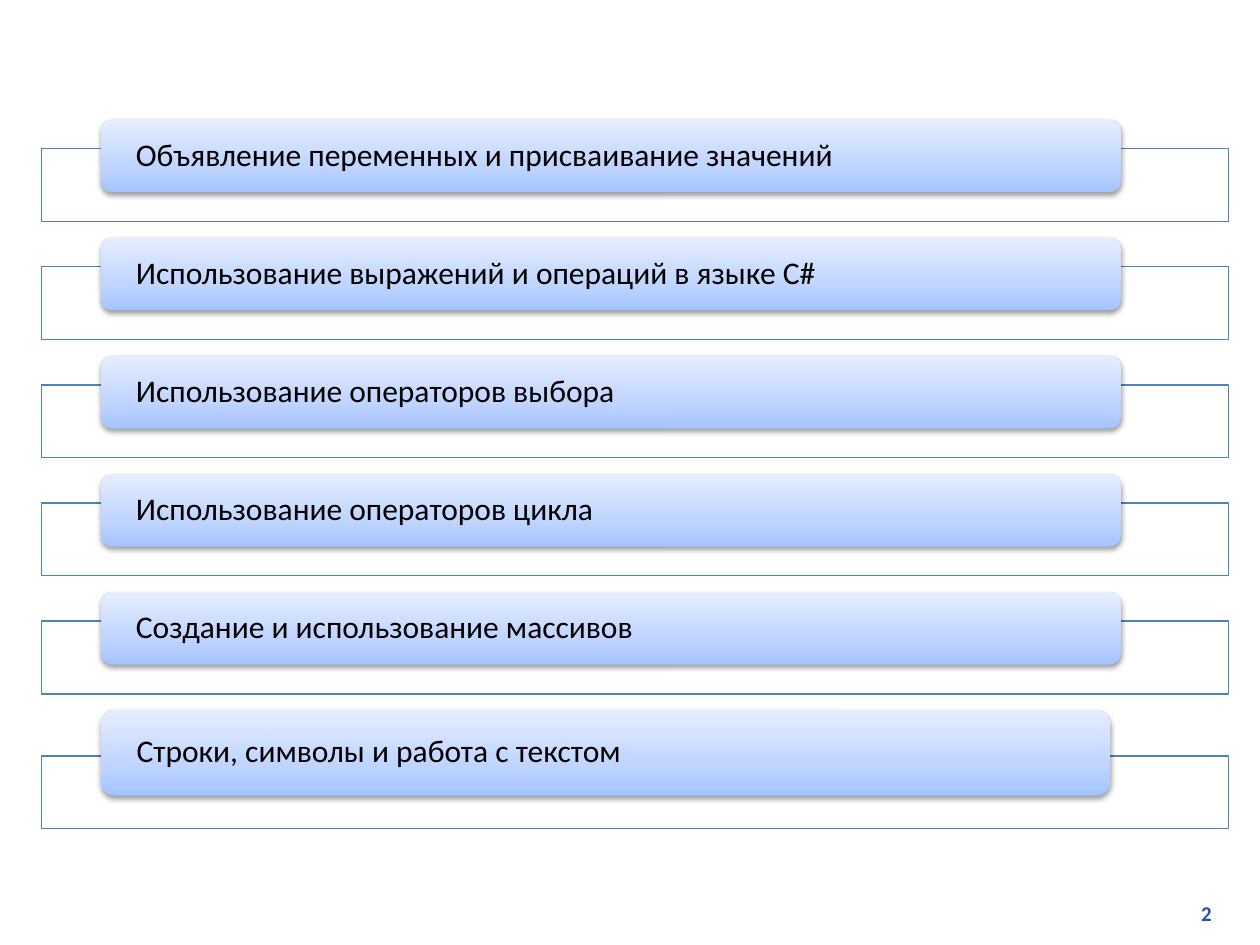
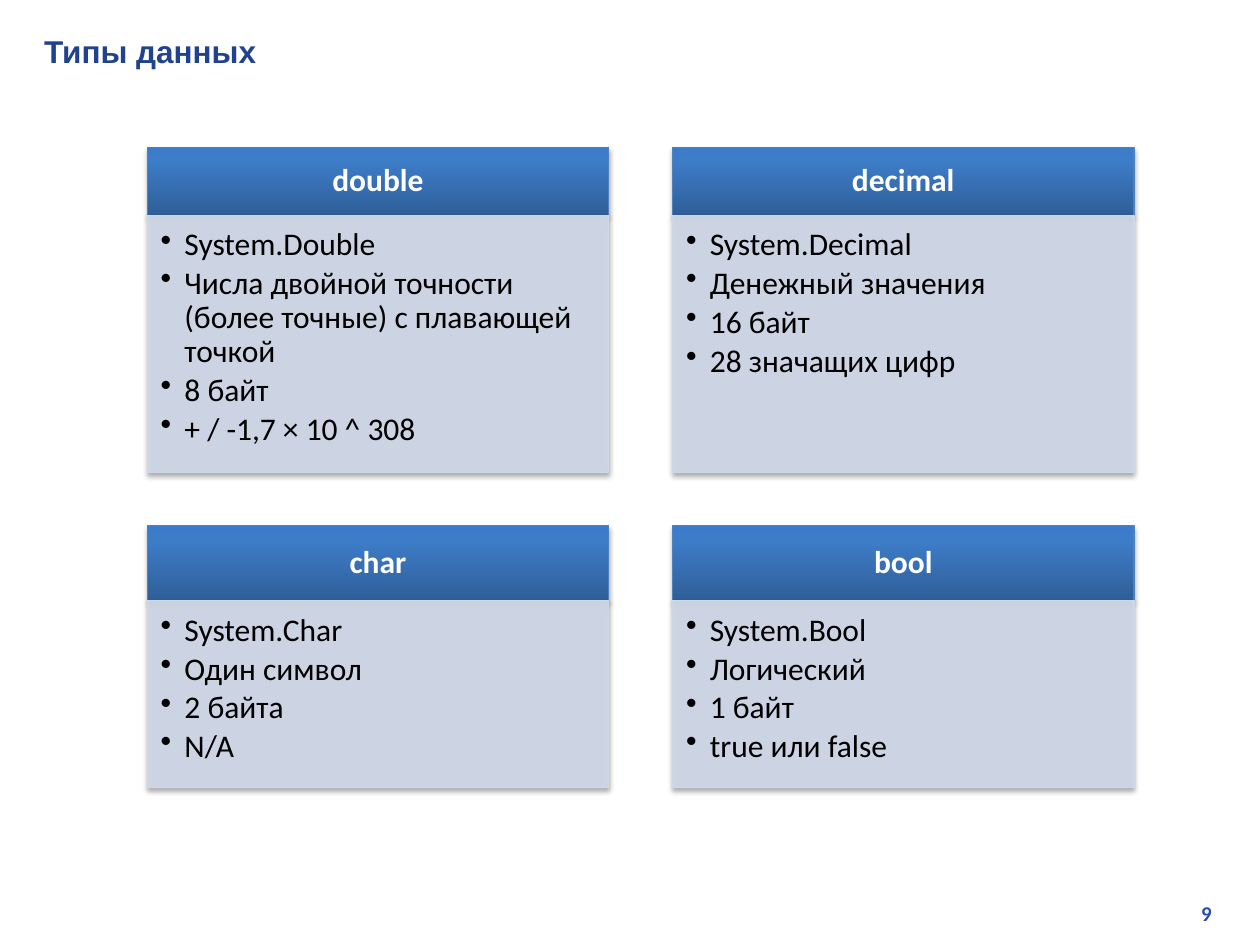
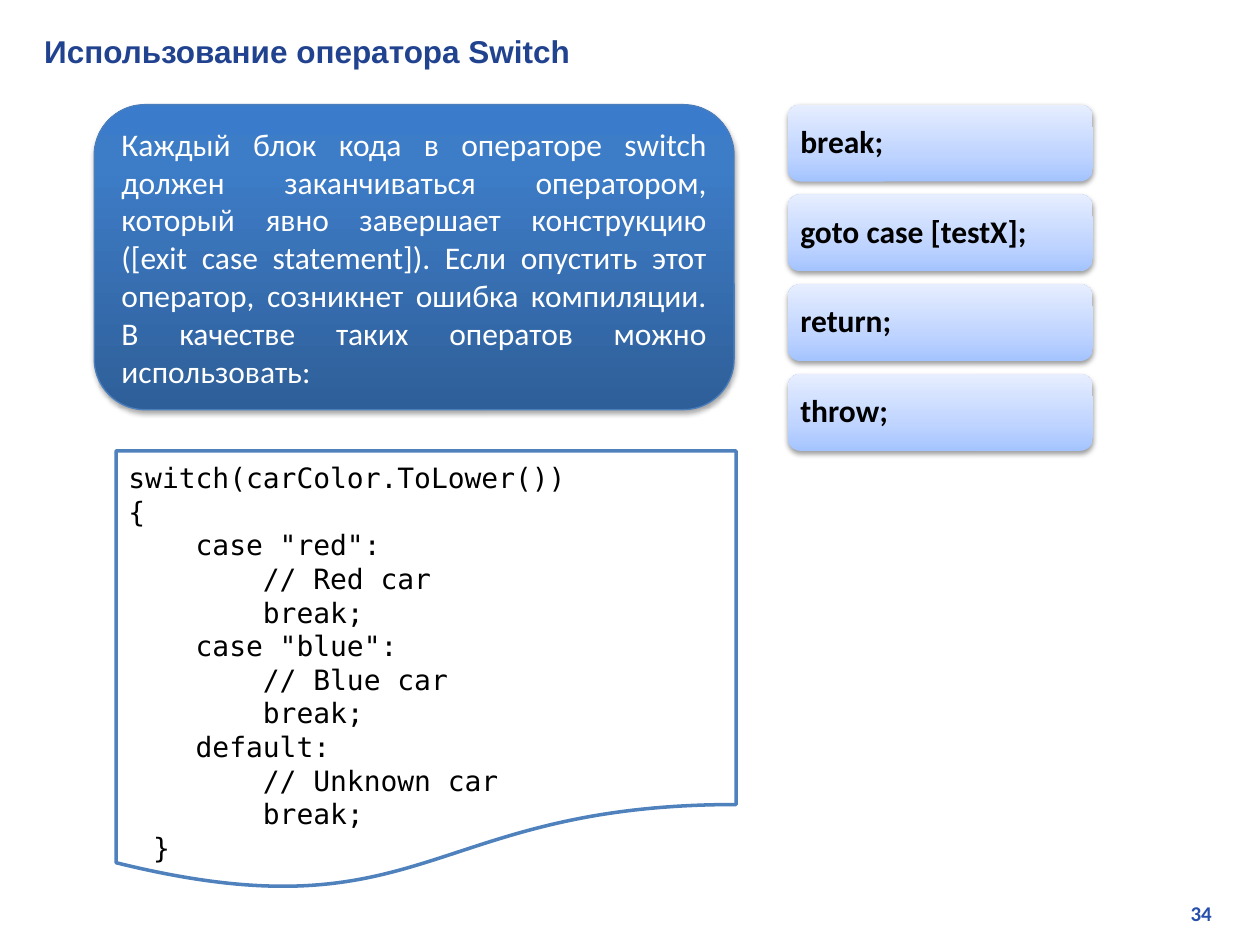
from lxml import etree
from pptx import Presentation
from pptx.dml.color import RGBColor
from pptx.enum.shapes import MSO_SHAPE as SHAPE
from pptx.enum.text import MSO_ANCHOR as ANCHOR, MSO_AUTO_SIZE as AUTO, PP_ALIGN as ALIGN
from pptx.oxml.ns import qn
from pptx.util import Cm, Pt

TITLE_ONLY, BLANK = 5, 6
WHITE, BLACK = "FFFFFF", "000000"
TITLE_BLUE, NUMBER_BLUE = "21438F", "2750AB"
LINE_BLUE, BODY_FILL = "4F81BD", "D0D8E8"
# Gradient stops run from the bottom edge to the top
PALE = [(0, "A4C4FF"), (35, "BFD4FF"), (100, "E6EEFF")]
DEEP = [(0, "2F5F99"), (80, "3D7CC7"), (100, "3A7CCB")]
# Opacity in percent, distance in points
PALE_SHADOW, DEEP_SHADOW = (38, 1.6), (35, 1.8)
SANS, MONO, TITLE_FONT = "Calibri", "DejaVu Sans Mono", "Arial"

TOPICS = [
    "Объявление переменных и присваивание значений",
    "Использование выражений и операций в языке С#",
    "Использование операторов выбора",
    "Использование операторов цикла",
    "Создание и использование массивов",
    "Строки, символы и работа с текстом",
]

TYPES_TITLE = "Типы данных"
# Top, header height, body height, cards of the row
TYPE_ROWS = [
    (2.97, 1.37, 5.18, [
        ("double", ["System.Double",
                    "Числа двойной точности (более точные) с плавающей точкой",
                    "8 байт", "+ / -1,7 × 10 ^ 308"]),
        ("decimal", ["System.Decimal", "Денежный значения", "16 байт",
                     "28 значащих цифр"]),
    ]),
    (10.59, 1.52, 3.76, [
        ("char", ["System.Char", "Один символ", "2 байта", "N/A"]),
        ("bool", ["System.Bool", "Логический", "1 байт", "true или false"]),
    ]),
]

SWITCH_TITLE = "Использование оператора Switch"
SWITCH_RULE = (
    "Каждый блок кода в операторе switch должен заканчиваться оператором, "
    "который явно завершает конструкцию ([exit case statement]). Если опустить "
    "этот оператор, созникнет ошибка компиляции. В качестве таких оператов "
    "можно использовать:"
)
EXITS = ["break;", "goto case [testX];", "return;", "throw;"]
CODE = """switch(carColor.ToLower())
{
    case "red":
        // Red car
        break;
    case "blue":
        // Blue car
        break;
    default:
        // Unknown car
        break;
}""".split("\n")


def rgb(value):
    return RGBColor.from_string(value)


def add_colour(parent, value, alpha=None):
    colour = etree.SubElement(parent, qn("a:srgbClr"), val=value)
    if alpha is not None:
        etree.SubElement(colour, qn("a:alpha"), val=str(alpha * 1000))


def set_gradient(sp, stops):
    sp.fill.background()
    spPr = sp._element.spPr
    grad = etree.Element(qn("a:gradFill"), rotWithShape="1")
    gs_list = etree.SubElement(grad, qn("a:gsLst"))
    for pos, value in stops:
        add_colour(etree.SubElement(gs_list, qn("a:gs"), pos=str(pos * 1000)), value)
    etree.SubElement(grad, qn("a:lin"), ang="16200000", scaled="0")
    spPr.replace(spPr.find(qn("a:noFill")), grad)


def set_shadow(sp, opacity, distance):
    effects = sp._element.spPr.find(qn("a:effectLst"))
    shadow = etree.SubElement(
        effects, qn("a:outerShdw"), blurRad=str(Pt(3.1)), dist=str(Pt(distance)),
        dir="5400000", rotWithShape="0")
    add_colour(shadow, BLACK, opacity)


def add_box(slide, kind, at, fill, line=None, width=0.75, alpha=None, shadow=None):
    """Add a shape; fill is a hex colour or a list of gradient stops."""
    sp = slide.shapes.add_shape(kind, *(Cm(v) for v in at))
    sp.shadow.inherit = False
    if isinstance(fill, list):
        set_gradient(sp, fill)
    else:
        sp.fill.solid()
        sp.fill.fore_color.rgb = rgb(fill)
        if alpha is not None:
            colour = sp._element.spPr.find(qn("a:solidFill"))[0]
            etree.SubElement(colour, qn("a:alpha"), val=str(alpha * 1000))
    if line:
        sp.line.color.rgb = rgb(line)
        sp.line.width = Pt(width)
    else:
        sp.line.fill.background()
    if shadow:
        set_shadow(sp, *shadow)
    return sp


def write(sp, lines, colour=BLACK, size=18, font=SANS, bold=False, align=ALIGN.LEFT,
          anchor=ANCHOR.MIDDLE, insets=(0.25, 0.13, 0.25, 0.13), spacing=None,
          after=None, bullet=False):
    """Fill the text frame, one paragraph per line; insets: left, top, right, bottom."""
    tf = sp.text_frame
    tf.word_wrap = True
    tf.auto_size = AUTO.NONE
    tf.vertical_anchor = anchor
    tf.margin_left, tf.margin_top, tf.margin_right, tf.margin_bottom = map(Cm, insets)
    for i, line in enumerate(lines):
        p = tf.paragraphs[0] if i == 0 else tf.add_paragraph()
        p.alignment = align
        if spacing:
            p.line_spacing = spacing
        if after:
            p.space_after = Pt(after)
        if bullet:
            pPr = p._p.get_or_add_pPr()
            pPr.set("marL", str(Cm(0.48)))
            pPr.set("indent", str(-Cm(0.48)))
            etree.SubElement(pPr, qn("a:buChar"), char="•")
        r = p.add_run()
        r.text = line
        r.font.name, r.font.size, r.font.bold = font, Pt(size), bold
        r.font.color.rgb = rgb(colour)
    return tf


def add_slide(prs, number, title=None):
    slide = prs.slides.add_slide(prs.slide_layouts[TITLE_ONLY if title else BLANK])
    if title:
        sp = slide.shapes.title
        sp.left, sp.top, sp.width, sp.height = Cm(0.64), Cm(0.51), Cm(24.23), Cm(1.02)
        write(sp, [title], TITLE_BLUE, font=TITLE_FONT, bold=True)
    sp = slide.shapes.add_textbox(Cm(19.3), Cm(18.03), Cm(5.38), Cm(0.76))
    write(sp, [str(number)], NUMBER_BLUE, 12, bold=True, align=ALIGN.RIGHT,
          anchor=ANCHOR.TOP)
    return slide


def add_pill(slide, at, text, insets, bold=False):
    sp = add_box(slide, SHAPE.ROUNDED_RECTANGLE, at, PALE, shadow=PALE_SHADOW)
    write(sp, [text], bold=bold, insets=insets, spacing=0.9)


def build_topics(prs):
    slide = add_slide(prs, 2)
    for i, topic in enumerate(TOPICS):
        top = 2.41 + i * 2.38
        last = i == len(TOPICS) - 1
        width, height, drop = (20.35, 1.73, 0.93) if last else (20.57, 1.47, 0.59)
        add_box(slide, SHAPE.RECTANGLE, (0.84, top + drop, 23.93, 1.47), WHITE,
                LINE_BLUE, alpha=90)
        add_pill(slide, (2.03, top, width, height), topic, (0.64, 0, 0.64, 0))


def build_types(prs):
    slide = add_slide(prs, 9, TYPES_TITLE)
    width, pitch = 9.3, 10.59
    for top, head_height, body_height, cards in TYPE_ROWS:
        for col, (name, facts) in enumerate(cards):
            left = 2.97 + col * pitch
            head = add_box(slide, SHAPE.RECTANGLE, (left, top, width, head_height),
                           DEEP, LINE_BLUE, shadow=DEEP_SHADOW)
            write(head, [name], WHITE, bold=True, align=ALIGN.CENTER,
                  insets=(0.36, 0.2, 0.36, 0.2), spacing=0.9)
            body = add_box(slide, SHAPE.RECTANGLE,
                           (left, top + head_height, width, body_height),
                           BODY_FILL, BODY_FILL, alpha=90, shadow=DEEP_SHADOW)
            write(body, facts, anchor=ANCHOR.TOP, insets=(0.27, 0.27, 0.36, 0.4),
                  spacing=0.9, after=2.7, bullet=True)


def build_switch(prs):
    slide = add_slide(prs, 34, SWITCH_TITLE)
    rule = add_box(slide, SHAPE.ROUNDED_RECTANGLE, (1.9, 2.11, 12.9, 6.15), DEEP,
                   "4B7EBC", shadow=DEEP_SHADOW)
    write(rule, [SWITCH_RULE], WHITE, align=ALIGN.JUSTIFY)
    for i, text in enumerate(EXITS):
        add_pill(slide, (15.88, 2.11 + i * 1.81, 6.15, 1.55), text, (0.18,) * 4, True)
    code = add_box(slide, SHAPE.FLOWCHART_DOCUMENT, (2.34, 9.09, 12.5, 8.89), WHITE,
                   LINE_BLUE, 2)
    tf = write(code, CODE, size=16, font=MONO, anchor=ANCHOR.TOP,
               insets=(0.25, 0.2, 0.25, 0.13))
    tf.paragraphs[-1]._p.get_or_add_pPr().set("marL", str(Cm(0.5)))


def main():
    prs = Presentation()
    prs.slide_width, prs.slide_height = Cm(25.4), Cm(19.05)
    build_topics(prs)
    build_types(prs)
    build_switch(prs)
    prs.save("out.pptx")


if __name__ == "__main__":
    main()
